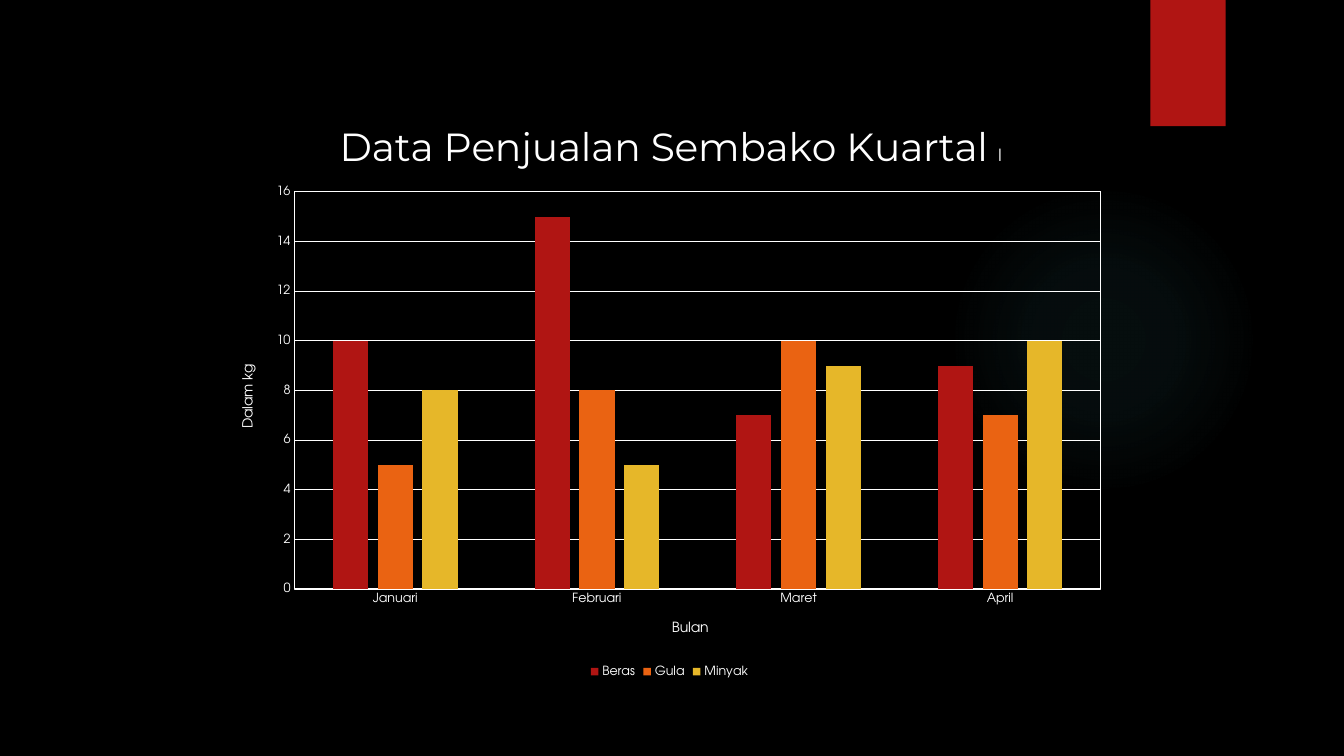
from typing import NamedTuple

from pptx import Presentation
from pptx.chart.data import CategoryChartData as Data
from pptx.dml.color import RGBColor as Rgb
from pptx.enum.chart import XL_CHART_TYPE as Kind
from pptx.enum.chart import XL_LEGEND_POSITION as Place
from pptx.enum.chart import XL_TICK_MARK as Tick
from pptx.enum.shapes import MSO_SHAPE as Shape
from pptx.oxml import parse_xml as to_xml
from pptx.oxml.ns import nsdecls, qn
from pptx.util import Cm, Pt

BLACK = Rgb(0x00, 0x00, 0x00)
WHITE = Rgb(0xFF, 0xFF, 0xFF)
RED = Rgb(0xB0, 0x15, 0x13)
ORANGE = Rgb(0xEA, 0x63, 0x12)
YELLOW = Rgb(0xE6, 0xB7, 0x29)
TEAL = Rgb(0x50, 0xB9, 0xC1)
BODY = "TeX Gyre Adventor"
HEAD = "Montserrat"
GLOW = ((0, 7), (36, 6), (69, 0))


class Good(NamedTuple):
    """One product: its name, monthly sales and bar colour."""
    name: str
    sales: tuple
    color: Rgb


class Box(NamedTuple):
    """Left, top, width and height in centimetres."""
    left: float
    top: float
    width: float
    height: float


MONTHS = ("Januari", "Februari", "Maret", "April")
GOODS = (
    Good("Beras", (10, 15, 7, 9), RED),
    Good("Gula", (5, 8, 10, 7), ORANGE),
    Good("Minyak", (8, 5, 9, 10), YELLOW),
)


def style(font, size: float, face: str = BODY) -> None:
    """Set a plain white font."""
    font.size, font.name, font.bold = Pt(size), face, False
    font.color.rgb = WHITE


def rule(line) -> None:
    """Make a line thin and white."""
    line.color.rgb = WHITE
    line.width = Pt(0.75)


def add_shape(slide, kind, box: Box, color: Rgb):
    """Add a filled shape without outline or shadow."""
    shape = slide.shapes.add_shape(kind, *map(Cm, box))
    shape.shadow.inherit = False
    shape.fill.solid()
    shape.fill.fore_color.rgb = color
    shape.line.fill.background()
    return shape


def add_glow(slide, box: Box) -> None:
    """Add a circle that fades out from its centre."""
    shape = add_shape(slide, Shape.OVAL, box, TEAL)
    stops = "".join(
        f'<a:gs pos="{pos * 1000}"><a:srgbClr val="{TEAL}">'
        f'<a:alpha val="{alpha * 1000}"/></a:srgbClr></a:gs>'
        for pos, alpha in GLOW)
    fade = to_xml(
        f'<a:gradFill {nsdecls("a")}><a:gsLst>{stops}</a:gsLst>'
        '<a:path path="circle"><a:fillToRect l="50000" t="50000" '
        'r="50000" b="50000"/></a:path></a:gradFill>')
    props = shape._element.spPr
    props.replace(props.find(qn("a:solidFill")), fade)


def lay_out(node, index: int, **place: float) -> None:
    """Fix a chart part at fractions of the chart area."""
    for old in node.findall(qn("c:layout")):
        node.remove(old)
    inner = '<c:layoutTarget val="inner"/>' if "w" in place else ""
    modes = "".join(f'<c:{key}Mode val="edge"/>' for key in "xy")
    sizes = "".join(f'<c:{key} val="{val}"/>' for key, val in place.items())
    node.insert(index, to_xml(
        f'<c:layout {nsdecls("c")}><c:manualLayout>{inner}{modes}{sizes}'
        '</c:manualLayout></c:layout>'))


def set_title(title, parts: tuple, x: float, y: float) -> None:
    """Write a chart or axis title from (text, size, face) parts."""
    par = title.text_frame.paragraphs[0]
    for text, size, face in parts:
        run = par.add_run()
        run.text = text
        style(run.font, size, face)
    lay_out(title._element, 1, x=x, y=y)


def set_axis(axis, name: str, x: float, y: float) -> None:
    """Format an axis and place its title."""
    axis.major_tick_mark = axis.minor_tick_mark = Tick.NONE
    style(axis.tick_labels.font, 9)
    set_title(axis.axis_title, ((name, 10, BODY),), x, y)


def add_sales(slide, box: Box) -> None:
    """Add the column chart of sales."""
    data = Data()
    data.categories = MONTHS
    for good in GOODS:
        data.add_series(good.name, good.sales)
    frame = slide.shapes.add_chart(
        Kind.COLUMN_CLUSTERED, *map(Cm, box), data)
    chart = frame.chart
    style(chart.font, 10)
    set_title(chart.chart_title, (
        ("Data Penjualan Sembako Kuartal ", 28, HEAD), ("I", 12, BODY)),
        0.13, 0.03)

    plot = chart.plots[0]
    plot.gap_width, plot.overlap = 219, -27
    plot.vary_by_categories = False
    for bars, good in zip(plot.series, GOODS):
        bars.format.fill.solid()
        bars.format.fill.fore_color.rgb = good.color

    months, weight = chart.category_axis, chart.value_axis
    set_axis(months, "Bulan", 0.5, 0.89)
    rule(months.format.line)
    set_axis(weight, "Dalam kg", 0.02, 0.45)
    turn = weight.axis_title._element.xpath(".//a:bodyPr")[0]
    turn.set("rot", "-5400000")
    turn.set("vert", "horz")
    weight.format.line.fill.background()
    weight.minimum_scale, weight.maximum_scale = 0, 16
    weight.major_unit = 2
    rule(weight.major_gridlines.format.line)

    chart.has_legend = True
    chart.legend.position = Place.BOTTOM
    chart.legend.include_in_layout = False
    style(chart.legend.font, 9)

    area = chart._chartSpace.chart.plotArea
    lay_out(area, 0, x=0.083, y=0.157, w=0.897, h=0.684)
    area.append(to_xml(
        f'<c:spPr {nsdecls("c", "a")}><a:noFill/><a:ln w="{Pt(0.75)}">'
        f'<a:solidFill><a:srgbClr val="{WHITE}"/></a:solidFill></a:ln>'
        '</c:spPr>'))


def main() -> None:
    """Build and save the slide."""
    deck = Presentation()
    deck.slide_width, deck.slide_height = Cm(33.87), Cm(19.05)
    slide = deck.slides.add_slide(deck.slide_layouts[6])
    slide.background.fill.solid()
    slide.background.fill.fore_color.rgb = BLACK
    add_glow(slide, Box(23.9, 4.65, 7.82, 7.82))
    add_shape(slide, Shape.RECTANGLE, Box(28.99, 0, 1.9, 3.18), RED)
    add_sales(slide, Box(5.54, 2.54, 22.66, 14.63))
    deck.save("out.pptx")


main()
